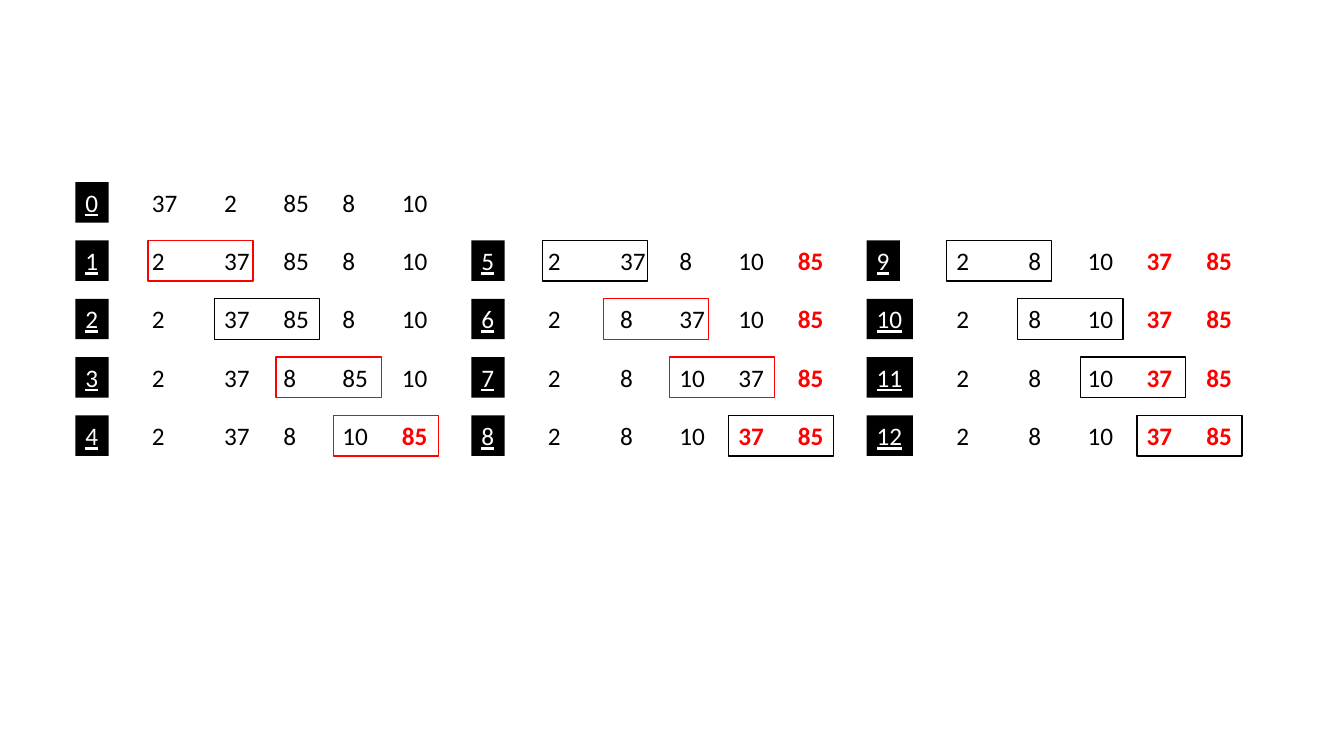
import pptx
import pptx.util
import pptx.dml.color
import pptx.enum.shapes
import pptx.enum.text

Cm = pptx.util.Cm
BLACK, RED, WHITE = "000000", "FF0000", "FFFFFF"
TOP, PITCH, HEIGHT = 4.59, 1.47, 1.02
FRAME = 2.65
STOPS = (0, 1.82, 3.31, 4.8, 6.3)
WIDTHS = {1: 0.84, 2: 1.17}

# Each step: values, count of sorted values, frame left, frame colour
PASSES = [
    (1.9, 3.58, 0, [
        ("37 2 85 8 10", 0, None, None),
        ("2 37 85 8 10", 0, 3.73, RED),
        ("2 37 85 8 10", 0, 5.41, BLACK),
        ("2 37 8 85 10", 0, 6.96, RED),
        ("2 37 8 10 85", 1, 8.41, RED),
    ]),
    (11.88, 13.56, 1, [
        ("2 37 8 10 85", 1, 13.67, BLACK),
        ("2 8 37 10 85", 1, 15.21, RED),
        ("2 8 10 37 85", 1, 16.87, RED),
        ("2 8 10 37 85", 2, 18.36, BLACK),
    ]),
    (21.84, 23.85, 1, [
        ("2 8 10 37 85", 2, 23.85, BLACK),
        ("2 8 10 37 85", 2, 25.65, BLACK),
        ("2 8 10 37 85", 2, 27.23, BLACK),
        ("2 8 10 37 85", 2, 28.65, BLACK),
    ]),
]


def paint(color, code):
    color.rgb = pptx.dml.color.RGBColor.from_string(code)


def label(slide, text, left, top, code, **style):
    box = slide.shapes.add_textbox(
        Cm(left), Cm(top), Cm(WIDTHS[len(text)]), Cm(HEIGHT))
    frame = box.text_frame
    frame.word_wrap = False
    frame.auto_size = pptx.enum.text.MSO_AUTO_SIZE.SHAPE_TO_FIT_TEXT
    run = frame.paragraphs[0].add_run()
    run.text = text
    form = {"name": "Calibri", "size": pptx.util.Pt(18), **style}
    for key, value in form.items():
        setattr(run.font, key, value)
    paint(run.font.color, code)
    return box


def badge(slide, text, left, top):
    box = label(slide, text, left, top, WHITE, underline=True)
    box.fill.solid()
    paint(box.fill.fore_color, BLACK)


def outline(slide, left, top, code):
    box = slide.shapes.add_shape(
        pptx.enum.shapes.MSO_SHAPE.RECTANGLE,
        Cm(left), Cm(top), Cm(FRAME), Cm(HEIGHT))
    box.shadow.inherit = False
    box.fill.background()
    box.line.width = pptx.util.Pt(1)
    paint(box.line.color, code)


def values(slide, texts, done, left, top):
    for spot, (text, stop) in enumerate(zip(texts, STOPS)):
        fixed = spot >= len(texts) - done
        label(slide, text, left + stop, top,
              RED if fixed else BLACK, bold=fixed)


def main():
    deck = pptx.Presentation()
    deck.slide_width, deck.slide_height = Cm(33.87), Cm(19.05)
    slide = deck.slides.add_slide(deck.slide_layouts[6])
    count = 0
    for edge, left, first, steps in PASSES:
        for row, (texts, done, start, code) in enumerate(steps, first):
            top = TOP + row * PITCH
            badge(slide, str(count), edge, top)
            values(slide, texts.split(), done, left, top)
            if code:
                outline(slide, start, top, code)
            count += 1
    deck.save("out.pptx")


main()
